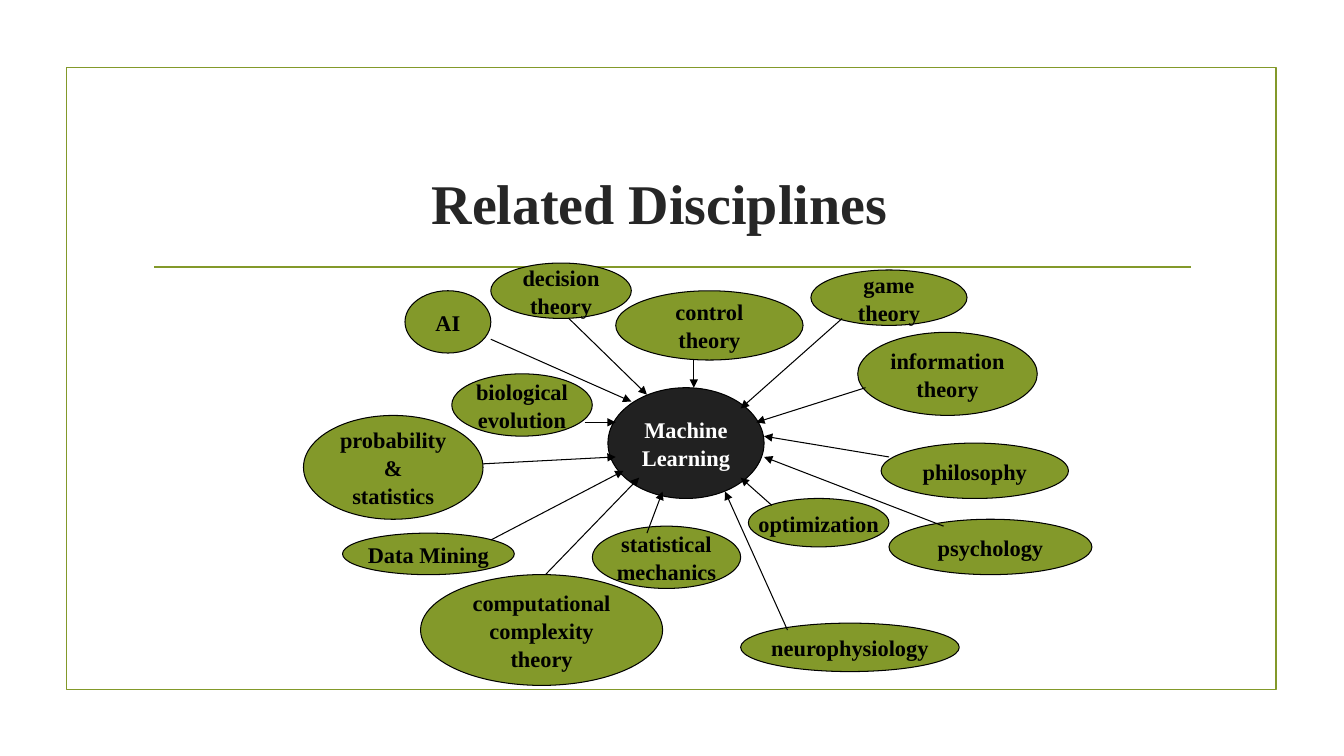
from dataclasses import dataclass
from typing import NamedTuple

from lxml.etree import SubElement
from pptx import Presentation
from pptx.dml.color import RGBColor
from pptx.enum.shapes import MSO_CONNECTOR, MSO_SHAPE
from pptx.enum.text import MSO_ANCHOR, PP_ALIGN
from pptx.oxml.ns import qn
from pptx.util import Inches, Pt


@dataclass(frozen=True)
class Theme:
    font: str = "Times New Roman"
    olive: RGBColor = RGBColor.from_string("83992A")
    charcoal: RGBColor = RGBColor.from_string("212121")
    heading: RGBColor = RGBColor.from_string("262626")
    black: RGBColor = RGBColor.from_string("000000")
    white: RGBColor = RGBColor.from_string("FFFFFF")
    title_size: int = 40
    label_size: int = 16
    label_spacing: float = 1.04
    frame_width: float = 1.25
    diagram_width: float = 0.75


class Bubble(NamedTuple):
    """An ellipse placed in grid columns and rows; one paragraph per line."""
    lines: tuple[str, ...]
    column: int
    row: int
    columns: int
    rows: int


class Arrow(NamedTuple):
    """A line towards the hub, in grid columns and rows."""
    from_column: int
    from_row: int
    to_column: int
    to_row: int


THEME = Theme()

# Diagram grid: 101 columns by 61 rows
GRID_LEFT, GRID_TOP = 3.01, 2.61
COLUMN, ROW = 7.82 / 101, 4.19 / 61

HUB = Bubble(("Machine", "Learning"), 39, 18, 20, 16)
DISCIPLINES = (
    Bubble(("AI",), 13, 4, 11, 9),
    Bubble(("probability", "&", "statistics"), 0, 22, 23, 15),
    Bubble(("computational", "complexity", "theory"), 15, 45, 31, 16),
    Bubble(("control", "theory"), 40, 4, 24, 10),
    Bubble(("information", "theory"), 71, 10, 23, 12),
    Bubble(("philosophy",), 74, 26, 24, 8),
    Bubble(("psychology",), 75, 37, 26, 8),
    Bubble(("neurophysiology",), 56, 52, 28, 7),
    Bubble(("Data Mining",), 5, 39, 22, 6),
    Bubble(("decision", "theory"), 24, 0, 18, 8),
    Bubble(("game", "theory"), 65, 1, 20, 8),
    Bubble(("optimization",), 57, 34, 18, 7),
    Bubble(("biological", "evolution"), 19, 16, 18, 9),
    Bubble(("statistical", "mechanics"), 37, 38, 19, 9),
)
ARROWS = (
    Arrow(24, 11, 42, 20),
    Arrow(34, 8, 44, 19),
    Arrow(50, 14, 50, 18),
    Arrow(69, 8, 56, 21),
    Arrow(72, 18, 58, 23),
    Arrow(23, 29, 40, 28),
    Arrow(36, 23, 40, 23),
    Arrow(24, 40, 41, 30),
    Arrow(31, 45, 43, 31),
    Arrow(44, 39, 46, 33),
    Arrow(62, 53, 54, 33),
    Arrow(60, 35, 56, 31),
    Arrow(82, 38, 59, 28),
    Arrow(75, 28, 59, 25),
)


def grid_x(column: int) -> int:
    return Inches(GRID_LEFT + column * COLUMN)


def grid_y(row: int) -> int:
    return Inches(GRID_TOP + row * ROW)


def add_span(para, text: str, size: int, color: RGBColor) -> None:
    para.alignment = PP_ALIGN.CENTER
    span = para.add_run()
    span.text = text
    span.font.name = THEME.font
    span.font.size = Pt(size)
    span.font.bold = True
    span.font.color.rgb = color


def add_line(page, start: tuple[int, int], end: tuple[int, int],
             color: RGBColor, width: float):
    line = page.shapes.add_connector(MSO_CONNECTOR.STRAIGHT, *start, *end)
    line.line.color.rgb = color
    line.line.width = Pt(width)
    SubElement(line._element.spPr, qn("a:effectLst"))
    return line


def add_frame(page) -> None:
    frame = page.shapes.add_shape(
        MSO_SHAPE.RECTANGLE, Inches(0.66), Inches(0.67), Inches(12), Inches(6.17))
    frame.shadow.inherit = False
    frame.fill.background()
    frame.line.color.rgb = THEME.olive
    frame.line.width = Pt(THEME.frame_width)
    add_line(page, (Inches(1.53), Inches(2.65)), (Inches(11.81), Inches(2.65)),
             THEME.olive, THEME.frame_width)


def add_title(page, text: str) -> None:
    title = page.shapes.title
    title.left, title.top = Inches(2.08), Inches(1.47)
    title.width, title.height = Inches(8.92), Inches(1.07)
    title.text_frame.vertical_anchor = MSO_ANCHOR.MIDDLE
    add_span(title.text_frame.paragraphs[0], text, THEME.title_size, THEME.heading)


def add_bubble(page, bubble: Bubble, fill: RGBColor, color: RGBColor) -> None:
    shape = page.shapes.add_shape(
        MSO_SHAPE.OVAL, grid_x(bubble.column), grid_y(bubble.row),
        Inches(bubble.columns * COLUMN), Inches(bubble.rows * ROW))
    shape.shadow.inherit = False
    shape.fill.solid()
    shape.fill.fore_color.rgb = fill
    shape.line.color.rgb = THEME.black
    shape.line.width = Pt(THEME.diagram_width)
    box = shape.text_frame
    box.word_wrap = False
    box.vertical_anchor = MSO_ANCHOR.MIDDLE
    for index, text in enumerate(bubble.lines):
        para = box.add_paragraph() if index else box.paragraphs[0]
        para.line_spacing = THEME.label_spacing
        add_span(para, text, THEME.label_size, color)


def add_arrow(page, arrow: Arrow) -> None:
    line = add_line(page, (grid_x(arrow.from_column), grid_y(arrow.from_row)),
                    (grid_x(arrow.to_column), grid_y(arrow.to_row)),
                    THEME.black, THEME.diagram_width)
    SubElement(line.line._get_or_add_ln(), qn("a:tailEnd"), type="triangle")


def main() -> None:
    deck = Presentation()
    deck.slide_width, deck.slide_height = Inches(13.33), Inches(7.5)
    page = deck.slides.add_slide(deck.slide_layouts[5])

    # Frame, rule and title
    add_frame(page)
    add_title(page, "Related Disciplines")

    # Hub with the disciplines around it
    add_bubble(page, HUB, THEME.charcoal, THEME.white)
    for discipline in DISCIPLINES:
        add_bubble(page, discipline, THEME.olive, THEME.black)

    # Arrows into the hub
    for arrow in ARROWS:
        add_arrow(page, arrow)

    deck.save("out.pptx")


if __name__ == "__main__":
    main()
